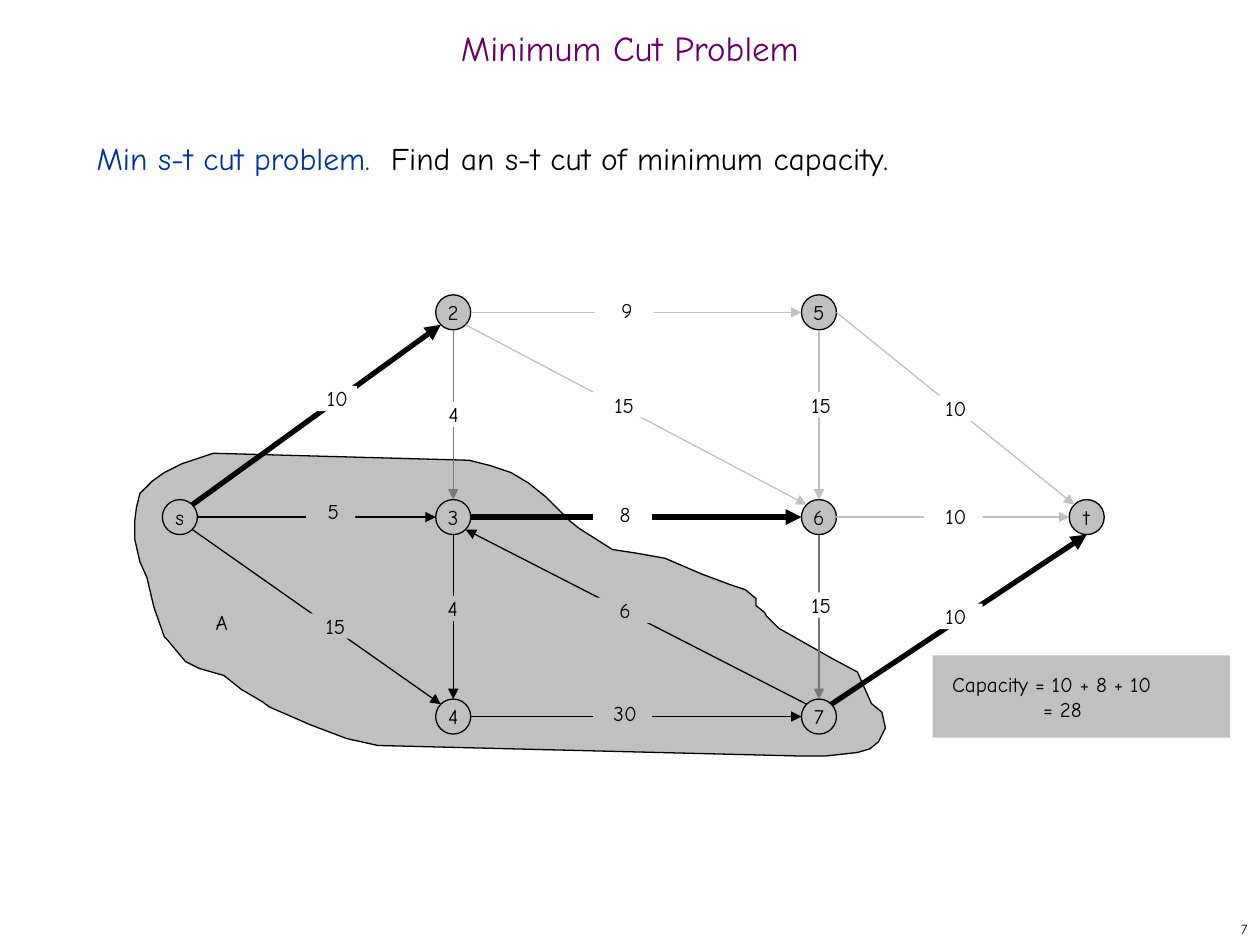
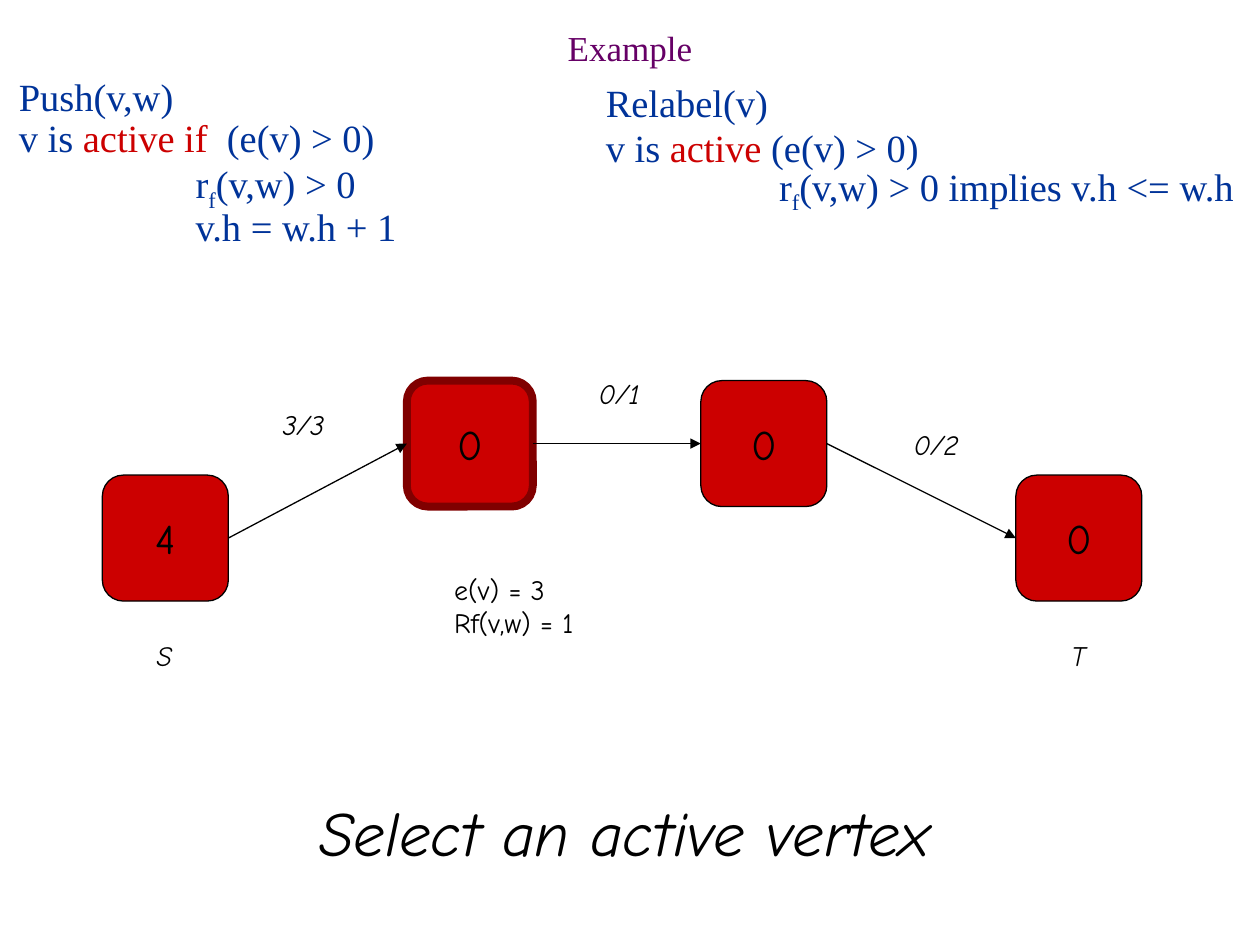
"""Build two slides about minimum cuts and the push-relabel method."""
from lxml.etree import SubElement
from pptx import Presentation
from pptx.dml.color import RGBColor
from pptx.enum.shapes import MSO_CONNECTOR, MSO_SHAPE
from pptx.enum.text import MSO_ANCHOR, MSO_AUTO_SIZE, PP_ALIGN
from pptx.oxml.ns import qn
from pptx.util import Pt

BLACK = RGBColor(0, 0, 0)
WHITE = RGBColor(0xFF, 0xFF, 0xFF)
SILVER = RGBColor(0xC0, 0xC0, 0xC0)
GRAY = RGBColor(0x77, 0x77, 0x77)
PURPLE = RGBColor(0x66, 0x00, 0x66)
BLUE = RGBColor(0x00, 0x33, 0x99)
RED = RGBColor(0xCC, 0x00, 0x00)
MAROON = RGBColor(0x80, 0x00, 0x00)

HAND = "Comic Neue"
SERIF = "Times New Roman"
THIN, THICK = 0.75, 3
INSETS = (7.2, 3.6, 7.2, 3.6)
TITLE_BOX = (0, 12, 720, 36)

RADIUS = 10
NODES = {
    "s": (102.8, 295.5), "2": (259, 178.5), "3": (259, 295.5), "4": (259, 409.5),
    "5": (468, 178.5), "6": (468, 295.5), "7": (468, 409.5), "t": (621, 295.5),
}
DIAGONAL = 0.71
SIDES = {
    "N": (0, -1), "S": (0, 1), "W": (-1, 0), "E": (1, 0),
    "NW": (-DIAGONAL, -DIAGONAL), "NE": (DIAGONAL, -DIAGONAL),
    "SW": (-DIAGONAL, DIAGONAL), "SE": (DIAGONAL, DIAGONAL),
}
NEAR, FAR = 3, 11
EDGES = [
    ("s", "NE", "2", "SW", BLACK, THICK, "10", (170.5, 220.5, 33.5), WHITE, FAR),
    ("s", "E", "3", "W", BLACK, THIN, "5", (175, 285, 28), SILVER, NEAR),
    ("s", "SE", "4", "NW", BLACK, THIN, "15", (173.5, 350.5, 33.5), SILVER, NEAR),
    ("3", "E", "6", "W", BLACK, THICK, "8", (339, 286.5, 33.5), WHITE, NEAR),
    ("7", "NW", "3", "SE", BLACK, THIN, "6", (339, 341.5, 33.5), SILVER, NEAR),
    ("3", "S", "4", "N", BLACK, THIN, "4", (240.5, 340.5, 33.5), SILVER, NEAR),
    ("2", "E", "5", "W", SILVER, THIN, "9", (340, 170, 33.5), WHITE, NEAR),
    ("4", "E", "7", "W", BLACK, THIN, "30", (339, 400.5, 33.5), SILVER, NEAR),
    ("2", "S", "3", "N", GRAY, THIN, "4", (241, 229.5, 33.5), WHITE, NEAR),
    ("6", "S", "7", "N", GRAY, THIN, "15", (451, 338.5, 33.5), WHITE, NEAR),
    ("5", "S", "6", "N", SILVER, THIN, "15", (451, 224, 33.5), WHITE, NEAR),
    ("2", "SE", "6", "NW", SILVER, THIN, "15", (338.5, 224, 33.5), WHITE, NEAR),
    ("5", "E", "t", "NW", SILVER, THIN, "10", (524, 226, 33.5), WHITE, FAR),
    ("6", "E", "t", "W", SILVER, THIN, "10", (528, 287.5, 33.5), WHITE, NEAR),
    ("7", "NE", "t", "S", BLACK, THICK, "10", (528, 345, 33.5), WHITE, NEAR),
]
CUT_OUTLINE = [
    (438, 352), (445, 359), (468, 371.5), (475, 376.5), (489.5, 384.5), (497.5, 402),
    (504, 407), (505.5, 416), (502.5, 423.5), (497, 427.5), (489.5, 430), (472, 431.5),
    (457, 431.5), (376.5, 430), (216.5, 425.5), (198.5, 422), (177, 414), (154, 404),
    (150, 401), (137.5, 394.5), (127.5, 386.5), (114, 381.5), (106.5, 378.5),
    (96.5, 366.5), (94.5, 363.5), (88, 347), (84.5, 330), (80, 321), (77, 307.5),
    (77, 298), (78, 289.5), (80.5, 281.5), (87, 275), (94.5, 269.5), (104.5, 265),
    (121.5, 259), (268, 263), (280, 266.5), (291.5, 270.5), (302.5, 276.5),
    (312.5, 284.5), (326, 297.5), (331, 302.5), (350, 314), (363, 316), (379.5, 319),
    (401, 328.5), (417, 333.5), (425.5, 337), (432, 342), (432.5, 345.5), (437, 350),
]


class Deck:
    """Hold the style and the current slide, and draw each kind of element."""

    def __init__(self):
        self.presentation = Presentation()
        self.presentation.slide_width = Pt(720)
        self.presentation.slide_height = Pt(540)
        self.slide = None

    def add_slide(self, layout, title, font):
        layouts = self.presentation.slide_layouts
        self.slide = self.presentation.slides.add_slide(layouts[layout])
        self.placeholder(0, TITLE_BOX, [[(title, {})]], anchor=MSO_ANCHOR.MIDDLE,
                         name=font, size=20, color=PURPLE,
                         alignment=PP_ALIGN.CENTER, line_spacing=0.7)

    def fill_text(self, shape, paragraphs, anchor=MSO_ANCHOR.TOP, insets=INSETS, wrap=True,
                  alignment=PP_ALIGN.LEFT, line_spacing=1.0, indents=None, **font):
        frame = shape.text_frame
        left, top, right, bottom = map(Pt, insets)
        frame_format = {
            "margin_left": left, "margin_top": top, "margin_right": right,
            "margin_bottom": bottom, "vertical_anchor": anchor,
            "word_wrap": wrap, "auto_size": MSO_AUTO_SIZE.NONE,
        }
        for name, value in frame_format.items():
            setattr(frame, name, value)
        paragraph_format = {"alignment": alignment, "line_spacing": line_spacing,
                            "space_before": Pt(0), "space_after": Pt(0)}
        for index, runs in enumerate(paragraphs):
            paragraph = frame.add_paragraph() if index else frame.paragraphs[0]
            for name, value in paragraph_format.items():
                setattr(paragraph, name, value)
            properties = paragraph._p.get_or_add_pPr()
            properties.set("marL", str(Pt(indents[index] if indents else 0)))
            properties.set("indent", "0")
            SubElement(properties, qn("a:buNone"))
            for text, changes in runs:
                self.add_run(paragraph, text, {**font, **changes})

    def add_run(self, paragraph, text, font):
        run = paragraph.add_run()
        run.text = text
        values = {"name": HAND, "size": 12, "color": BLACK, "italic": False, **font}
        run.font.color.rgb = values.pop("color")
        if values.pop("subscript", False):
            run._r.get_or_add_rPr().set("baseline", "-25000")
        values["size"] = Pt(values["size"])
        for name, value in values.items():
            setattr(run.font, name, value)

    def placeholder(self, index, box, paragraphs, **style):
        shape = self.slide.placeholders[index]
        for name, value in zip(("left", "top", "width", "height"), box):
            setattr(shape, name, Pt(value))
        self.fill_text(shape, paragraphs, **style)

    def text(self, box, *lines, **style):
        shape = self.slide.shapes.add_textbox(*map(Pt, box))
        self.fill_text(shape, [[(line, {})] for line in lines], **style)

    def paint(self, shape, fill, line, weight):
        shape.shadow.inherit = False
        shape.fill.solid()
        shape.fill.fore_color.rgb = fill
        if line is None:
            shape.line.fill.background()
        else:
            shape.line.color.rgb = line
            shape.line.width = Pt(weight)

    def shape(self, kind, box, fill, *lines, line=None, weight=THIN, **style):
        shape = self.slide.shapes.add_shape(kind, *map(Pt, box))
        self.paint(shape, fill, line, weight)
        self.fill_text(shape, [[(text, {})] for text in lines], **style)
        return shape

    def outline(self, points, fill, line):
        builder = self.slide.shapes.build_freeform(*points[0], scale=Pt(1))
        builder.add_line_segments(points[1:], close=True)
        self.paint(builder.convert_to_shape(), fill, line, THIN)

    def arrow(self, start, end, color=BLACK, weight=THIN):
        connector = self.slide.shapes.add_connector(
            MSO_CONNECTOR.STRAIGHT, *map(Pt, (*start, *end)))
        connector.line.color.rgb = color
        connector.line.width = Pt(weight)
        SubElement(connector.line._get_or_add_ln(), qn("a:tailEnd"), type="triangle")
        SubElement(connector._element.spPr, qn("a:effectLst"))
        return connector

    def join(self, first, second):
        connector = self.arrow((0, 0), (0, 0))
        connector.begin_connect(first, 3)
        connector.end_connect(second, 1)


def rim(node, side):
    return [centre + RADIUS * step for centre, step in zip(NODES[node], SIDES[side])]


def build_minimum_cut(deck):
    deck.add_slide(1, "Minimum Cut Problem", HAND)
    deck.placeholder(1, (48, 72, 618, 426), [[
        ("Min s-t cut problem.  ", {"color": BLUE}),
        ("Find an s-t cut of minimum capacity.", {}),
    ]], size=18, line_spacing=Pt(25.6))
    deck.text((570, 522, 150, 18), "7", size=8, alignment=PP_ALIGN.RIGHT,
              anchor=MSO_ANCHOR.MIDDLE)
    deck.outline(CUT_OUTLINE, SILVER, BLACK)
    centred = {"alignment": PP_ALIGN.CENTER, "anchor": MSO_ANCHOR.MIDDLE}
    for name, (x, y) in NODES.items():
        box = (x - RADIUS, y - RADIUS, 2 * RADIUS, 2 * RADIUS)
        deck.shape(MSO_SHAPE.OVAL, box, SILVER, name, line=BLACK, wrap=False, **centred)
    for start, start_side, end, end_side, color, weight, *_ in EDGES:
        deck.arrow(rim(start, start_side), rim(end, end_side), color, weight)
    for *_, capacity, place, fill, inset in EDGES:
        deck.shape(MSO_SHAPE.RECTANGLE, (*place, 14.5), fill, capacity,
                   insets=(inset, 0, 0, 0), **centred)
    deck.text((104.5, 348.5, 33.5, 14.5), "A", insets=(FAR, 0, 0, 0), **centred)
    deck.shape(MSO_SHAPE.RECTANGLE, (533, 374.5, 170, 47), SILVER,
               "Capacity = 10 + 8 + 10", "= 28", indents=(4, 56),
               anchor=MSO_ANCHOR.MIDDLE)


def build_example(deck):
    deck.add_slide(3, "Example", SERIF)
    rules = {"name": SERIF, "size": 22, "color": BLUE}
    residual = [("r", {}), ("f", {"subscript": True})]
    deck.placeholder(1, (3.6, 41, 307, 110), [
        [("Push(v,w)", {})],
        [("v is ", {}), ("active if ", {"color": RED}), (" (e(v) > 0)", {})],
        [*residual, ("(v,w) > 0", {})],
        [("v.h = w.h + 1", {})],
    ], line_spacing=0.9, indents=(0, 0, 101, 101), **rules)
    deck.placeholder(2, (339, 42.5, 381, 145), [
        [("Relabel(v)", {})],
        [("v is ", {}), ("active", {"color": RED}), (" (e(v) > 0)", {})],
        [*residual, ("(v,w) > 0 implies v.h <= w.h", {})],
    ], line_spacing=Pt(25.6), indents=(0, 0, 99), **rules)

    vertices = []
    for height, left, top, line, weight in [
        ("4", 58.5, 271.5, BLACK, THIN), ("0", 232.5, 217.5, MAROON, 4.5),
        ("0", 400.5, 217.5, BLACK, THIN), ("0", 580.5, 271.5, BLACK, THIN),
    ]:
        vertices.append(deck.shape(
            MSO_SHAPE.ROUNDED_RECTANGLE, (left, top, 72, 72), RED, height, line=line,
            weight=weight, size=24, wrap=False, alignment=PP_ALIGN.CENTER,
            anchor=MSO_ANCHOR.MIDDLE))
    for first, second in zip(vertices, vertices[1:]):
        deck.join(first, second)
    for label, left, top in [("3/3", 154.5, 229.5), ("0/1", 335, 211.5),
                             ("0/2", 515, 241), ("S", 82.5, 361.5), ("T", 605, 361.5)]:
        deck.text((left, top, 42, 26.5), label, size=16, italic=True)
    deck.text((252.5, 323.5, 92, 46), "e(v) = 3", "Rf(v,w) = 1", size=16, wrap=False)
    deck.text((72, 450, 570, 50.5), "Select an active vertex", size=36, italic=True,
              alignment=PP_ALIGN.CENTER)


def main():
    deck = Deck()
    build_minimum_cut(deck)
    build_example(deck)
    deck.presentation.save("out.pptx")


if __name__ == "__main__":
    main()
